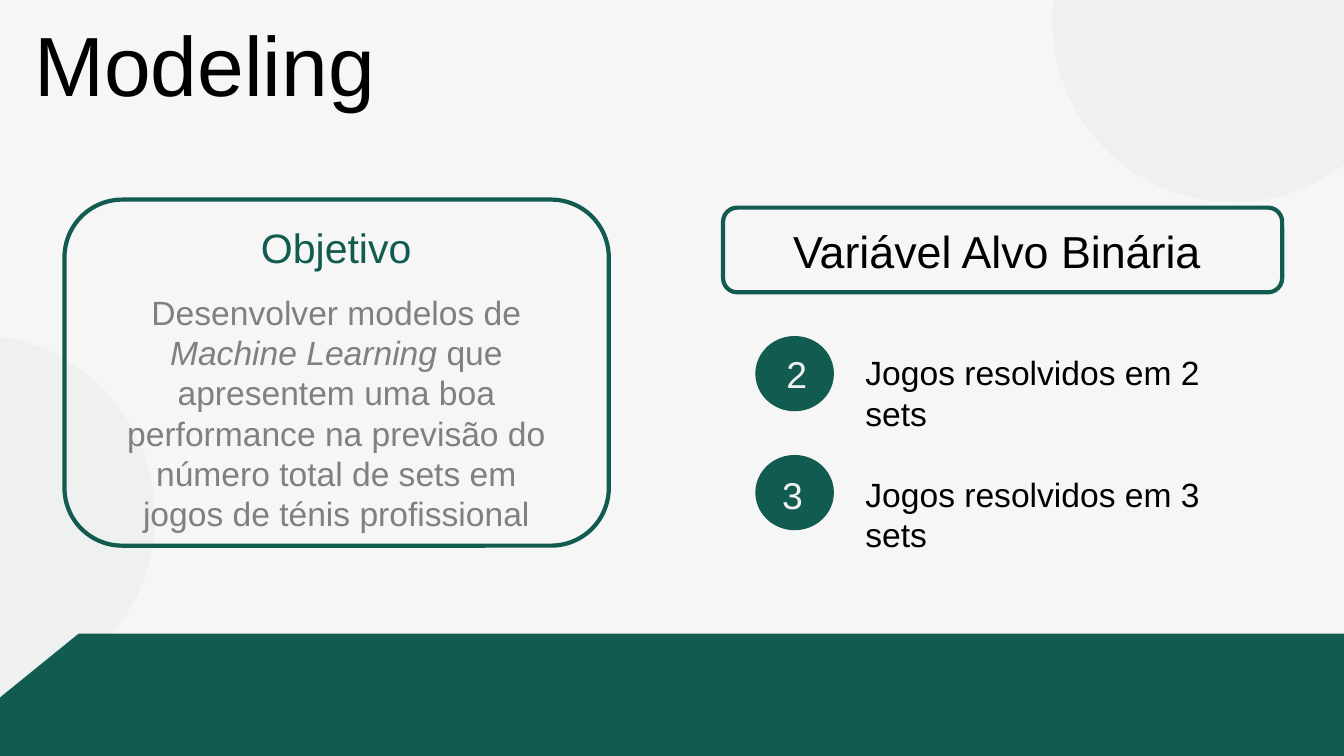
from pptx import Presentation
from pptx.dml.color import RGBColor
from pptx.enum.shapes import MSO_SHAPE
from pptx.enum.text import MSO_ANCHOR, MSO_AUTO_SIZE, PP_ALIGN
from pptx.oxml.ns import qn
from pptx.util import Pt
from lxml import etree

PX = 9144  # 100 px to the inch
OVAL, ROUNDED = MSO_SHAPE.OVAL, MSO_SHAPE.ROUNDED_RECTANGLE
LEFT, CENTER = PP_ALIGN.LEFT, PP_ALIGN.CENTER
GREEN, BLACK, GREY, PALE, PAPER = "125B50", "000000", "808080", "F2F2F2", "F6F6F6"


def px(*values):
    return [v * PX for v in values]


def color(fmt, value):
    fmt.rgb = RGBColor.from_string(value)


def fill_green(sp, alpha=None):
    sp.shadow.inherit = False
    sp.fill.solid()
    color(sp.fill.fore_color, GREEN)
    sp.line.fill.background()
    if alpha:
        clr = sp.fill._xPr.find(qn("a:solidFill"))[0]
        etree.SubElement(clr, qn("a:alpha")).set("val", str(alpha * 1000))


def add_circle(slide, x, y, w, h, alpha=None):
    fill_green(slide.shapes.add_shape(OVAL, *px(x, y, w, h)), alpha)


def add_frame(slide, x, y, w, h):
    sp = slide.shapes.add_shape(ROUNDED, *px(x, y, w, h))
    sp.shadow.inherit = False
    sp.fill.background()
    color(sp.line.color, GREEN)
    sp.line.width = Pt(4.5)


def add_band(slide):
    points = [px(*pt) for pt in ((2656, 1180), (2364, 1416), (117, 1416),
                                 (-175, 1180), (117, 943), (2364, 943))]
    fb = slide.shapes.build_freeform(*points[0])
    fb.add_line_segments(points[1:], close=True)
    fill_green(fb.convert_to_shape())


def set_text(sp, runs, size, hex_color, align, spacing=None):
    """Fill a shape with one paragraph; runs are (text, italic) pairs.

    Text with exact line spacing sits in a box without insets.
    """
    tf = sp.text_frame
    tf.word_wrap = True
    tf.auto_size = MSO_AUTO_SIZE.SHAPE_TO_FIT_TEXT
    tf.vertical_anchor = MSO_ANCHOR.TOP
    p = tf.paragraphs[0]
    p.alignment = align
    if spacing:
        tf.margin_left = tf.margin_top = tf.margin_right = tf.margin_bottom = 0
        p.line_spacing = Pt(spacing)
    for text, italic in runs:
        r = p.add_run()
        r.text = text
        r.font.name = "Arial"
        r.font.size = Pt(size)
        r.font.italic = italic
        color(r.font.color, hex_color)


def add_text(slide, x, y, w, h, runs, size, hex_color, align=CENTER, spacing=None):
    sp = slide.shapes.add_textbox(*px(x, y, w, h))
    set_text(sp, runs, size, hex_color, align, spacing)


def add_title(slide, text):
    sp = slide.shapes.title
    sp.left, sp.top, sp.width, sp.height = px(51, 43, 768, 126)
    set_text(sp, [(text, False)], 90, BLACK, LEFT, 90)


def main():
    prs = Presentation()
    prs.slide_width, prs.slide_height = px(2000, 1125)
    slide = prs.slides.add_slide(prs.slide_layouts[5])
    slide.background.fill.solid()
    color(slide.background.fill.fore_color, PAPER)

    # Title and decoration
    add_title(slide, "Modeling")
    add_band(slide)
    add_circle(slide, -310, 498, 541, 541, alpha=3)
    add_circle(slide, 1566, -238, 539, 539, alpha=3)

    # Objective
    add_frame(slide, 96, 297, 810, 515)
    add_text(slide, 132, 326, 737, 84, [("Objetivo", False)], 44, GREEN)
    objective = [
        ("Desenvolver modelos de ", False),
        ("Machine Learning", True),
        (" que apresentem uma boa performance na previsão do número total "
         "de sets em jogos de ténis profissional", False),
    ]
    add_text(slide, 158, 429, 685, 313, objective, 36, GREY)

    # Target variable and its two values
    add_frame(slide, 1076, 309, 832, 126)
    add_text(slide, 1148, 328, 671, 91, [("Variável Alvo Binária", False)], 48, BLACK)
    values = [
        ("2", "Jogos resolvidos em 2 sets", 500, 519, 1154, 532),
        ("3", "Jogos resolvidos em 3 sets", 677, 700, 1148, 713),
    ]
    for number, label, circle_y, label_y, number_x, number_y in values:
        add_circle(slide, 1124, circle_y, 117, 112)
        add_text(slide, number_x, number_y, 63, 58, [(number, False)], 40, PALE,
                 spacing=40.7)
        add_text(slide, 1278, label_y, 601, 71, [(label, False)], 36, BLACK, LEFT)

    prs.save("out.pptx")


if __name__ == "__main__":
    main()
